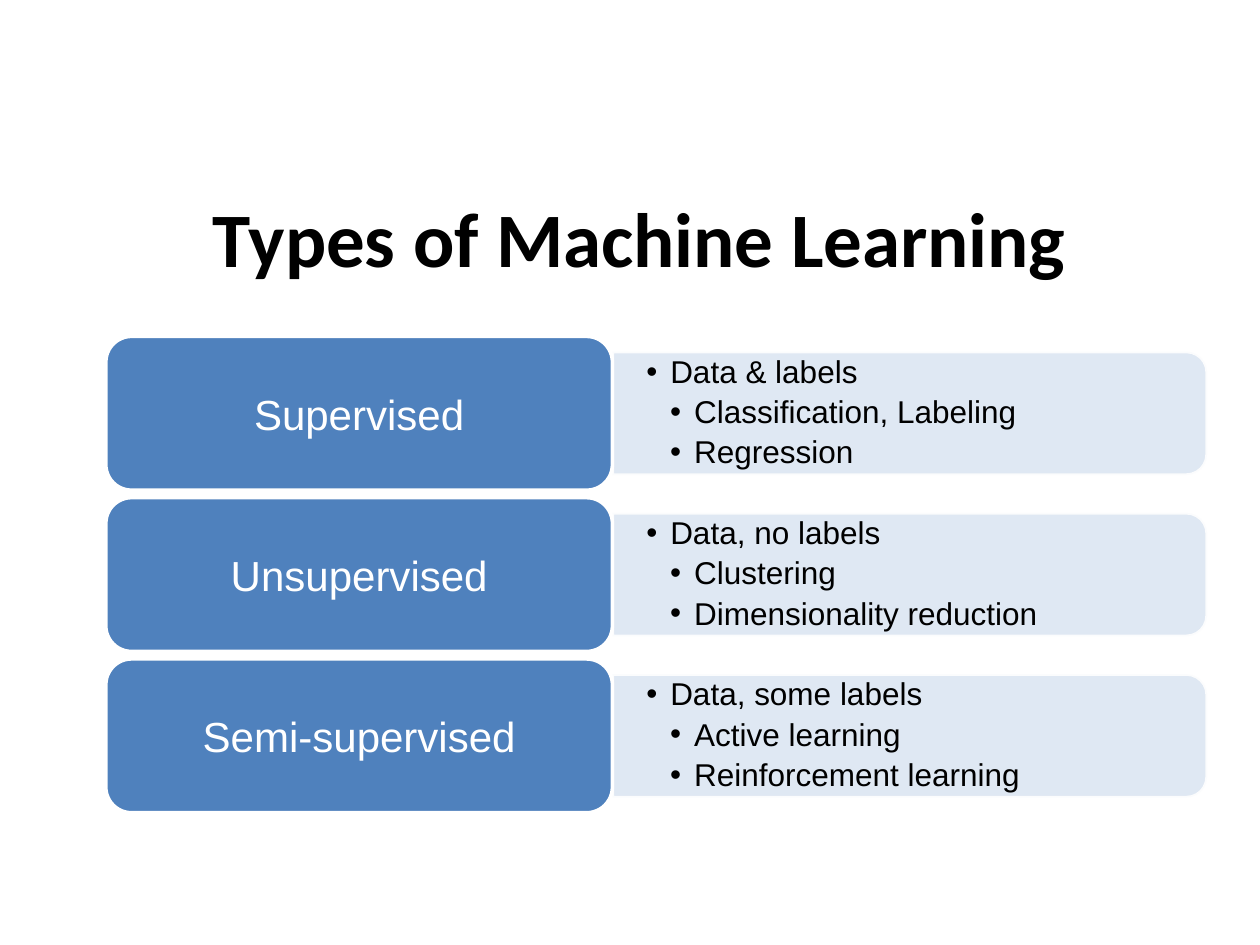
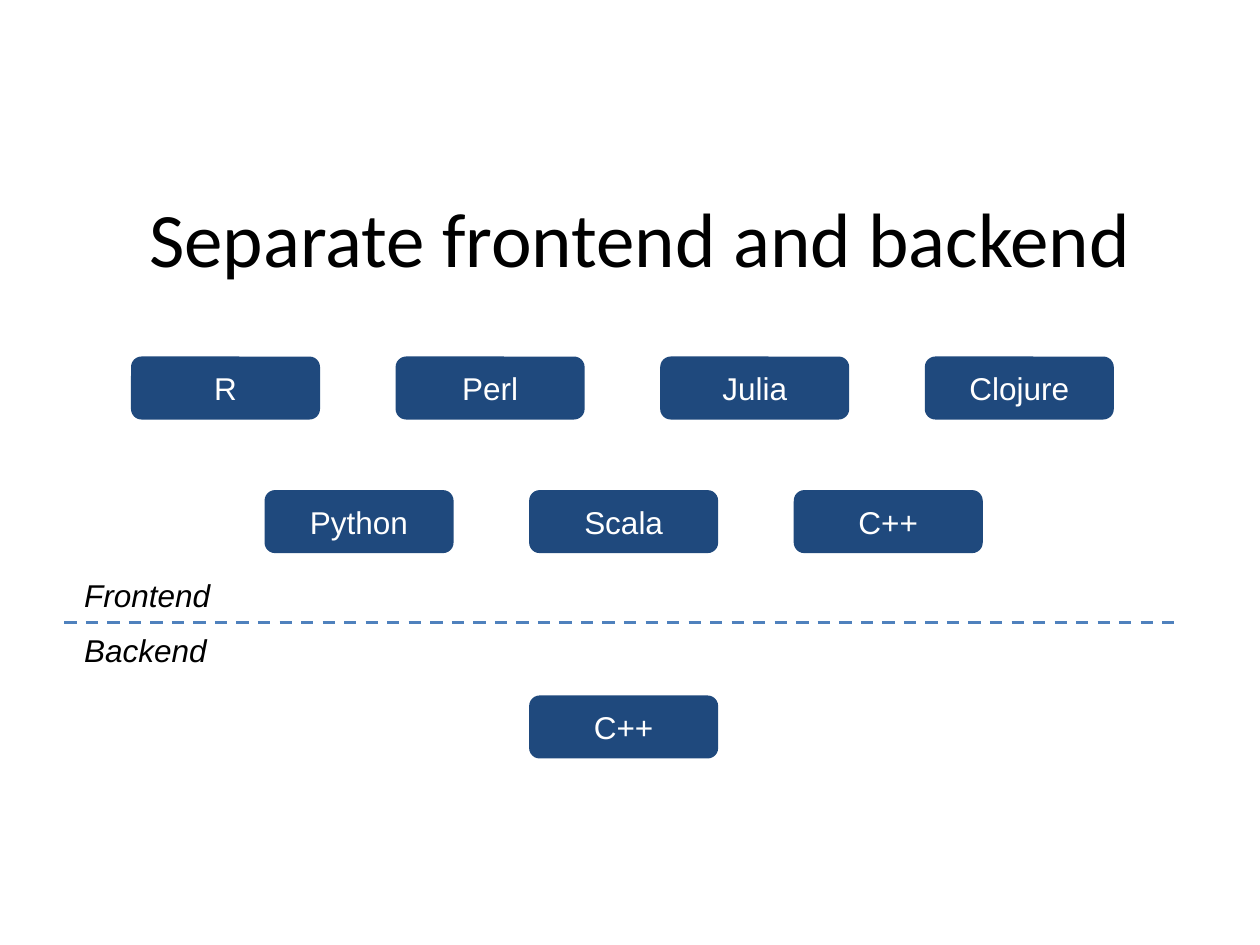
from dataclasses import dataclass

from lxml.etree import SubElement
from pptx import Presentation
from pptx.dml.color import RGBColor
from pptx.enum.dml import MSO_LINE
from pptx.enum.shapes import MSO_CONNECTOR, MSO_SHAPE
from pptx.enum.text import MSO_ANCHOR as ANCHOR, PP_ALIGN as ALIGN
from pptx.oxml.ns import qn
from pptx.util import Inches, Pt


@dataclass(frozen=True)
class Theme:
    black: RGBColor = RGBColor(0x00, 0x00, 0x00)
    white: RGBColor = RGBColor(0xFF, 0xFF, 0xFF)
    blue: RGBColor = RGBColor(0x4F, 0x81, 0xBD)
    pale: RGBColor = RGBColor(0xDC, 0xE6, 0xF2)
    navy: RGBColor = RGBColor(0x1F, 0x49, 0x7D)
    title_font: str = "Calibri"
    body_font: str = "Arial"
    title_size: int = 44
    label_size: int = 24
    body_size: int = 18


theme = Theme()


def add_run(paragraph, text, size, color, font=theme.body_font, bold=False, italic=False):
    run = paragraph.add_run()
    run.text = text
    run.font.name, run.font.size = font, Pt(size)
    run.font.bold, run.font.italic = bold, italic
    run.font.color.rgb = color


def add_box(slide, left, top, width, height, fill, text="", size=theme.body_size,
            outline=None, preset=MSO_SHAPE.ROUNDED_RECTANGLE):
    box = slide.shapes.add_shape(
        preset, Inches(left), Inches(top), Inches(width), Inches(height))
    box.shadow.inherit = False
    box.fill.solid()
    box.fill.fore_color.rgb = fill
    if outline is None:
        box.line.fill.background()
    else:
        box.line.color.rgb = outline
        box.line.width = Pt(2)
    if text:
        box.text_frame.vertical_anchor = ANCHOR.MIDDLE
        paragraph = box.text_frame.paragraphs[0]
        paragraph.alignment = ALIGN.CENTER
        add_run(paragraph, text, size, theme.white)
    return box


prs = Presentation()
prs.slide_width, prs.slide_height = Inches(10), Inches(7.5)

# Both slides with their titles
slides = []
for heading, bold in [("Types of Machine Learning", True),
                      ("Separate frontend and backend", False)]:
    slide = prs.slides.add_slide(prs.slide_layouts[5])
    title = slide.shapes.title
    title.left, title.top = Inches(0.58), Inches(1.25)
    title.width, title.height = Inches(9), Inches(1.25)
    title.text_frame.vertical_anchor = ANCHOR.MIDDLE
    title_line = title.text_frame.paragraphs[0]
    title_line.alignment = ALIGN.CENTER
    add_run(title_line, heading, theme.title_size, theme.black, theme.title_font, bold)
    slides.append(slide)
types_slide, layers_slide = slides

# Slide 1: one row per learning type
learning_types = [
    ("Supervised", ["Data & labels", "Classification, Labeling", "Regression"]),
    ("Unsupervised", ["Data, no labels", "Clustering", "Dimensionality reduction"]),
    ("Semi-supervised", ["Data, some labels", "Active learning", "Reinforcement learning"]),
]
label_left, label_width, label_height = 0.84, 4.02, 1.22
band_left, band_length, band_height = label_left + label_width, 4.72, 0.98
band_center = band_left + band_length / 2

for row, (learning_type, details) in enumerate(learning_types):
    top = 2.67 + 1.28 * row
    middle = top + label_height / 2

    # Band, turned so that its rounded end points right
    band = add_box(types_slide, band_center - band_height / 2, middle - band_length / 2,
                   band_height, band_length, theme.pale, outline=theme.white,
                   preset=MSO_SHAPE.ROUND_2_SAME_RECTANGLE)
    band.rotation = 90
    for color in band._element.spPr.iter(qn("a:srgbClr")):
        SubElement(color, qn("a:alpha"), val="90000")

    # Details on the band
    detail_box = types_slide.shapes.add_textbox(
        Inches(band_left), Inches(middle - 0.44), Inches(4.67), Inches(0.88))
    frame = detail_box.text_frame
    frame.word_wrap = True
    frame.vertical_anchor = ANCHOR.MIDDLE
    frame.margin_left = frame.margin_right = Inches(0.27)
    frame.margin_top = frame.margin_bottom = 0
    for index, detail in enumerate(details):
        paragraph = frame.add_paragraph() if index else frame.paragraphs[0]
        paragraph.level = min(index, 1)
        props = paragraph._p.get_or_add_pPr()
        props.set("marL", str(Inches(0.19 * (paragraph.level + 1))))
        props.set("indent", str(-Inches(0.19)))
        SubElement(props, qn("a:buFont"), typeface=theme.body_font)
        SubElement(props, qn("a:buChar"), char="•")
        paragraph.line_spacing = 0.9
        if index < len(details) - 1:
            paragraph.space_after = Pt(3.6)
        add_run(paragraph, detail, theme.body_size, theme.black)

    add_box(types_slide, label_left, top, label_width, label_height, theme.blue,
            learning_type, theme.label_size, theme.white)

# Slide 2: rows of languages
language_rows = [
    (1.04, 2.83, ["R", "Perl", "Julia", "Clojure"]),
    (2.1, 3.89, ["Python", "Scala", "C++"]),
    (4.2, 5.52, ["C++"]),
]
for left, top, languages in language_rows:
    for column, language in enumerate(languages):
        add_box(layers_slide, left + 2.1 * column, top, 1.5, 0.5, theme.navy, language)

# Divider between the layers
divider = layers_slide.shapes.add_connector(
    MSO_CONNECTOR.STRAIGHT, Inches(0.51), Inches(4.94), Inches(9.32), Inches(4.94))
divider.line.color.rgb = theme.blue
divider.line.width = Pt(1.75)
divider.line.dash_style = MSO_LINE.DASH
SubElement(divider._element.spPr, qn("a:effectLst"))

# Layer names
for layer, top, width in [("Frontend", 4.52, 1.32), ("Backend", 4.96, 1.24)]:
    layer_name = layers_slide.shapes.add_textbox(
        Inches(0.57), Inches(top), Inches(width), Inches(0.4))
    layer_name.text_frame.word_wrap = False
    add_run(layer_name.text_frame.paragraphs[0], layer, theme.body_size, theme.black,
            italic=True)

prs.save("out.pptx")
